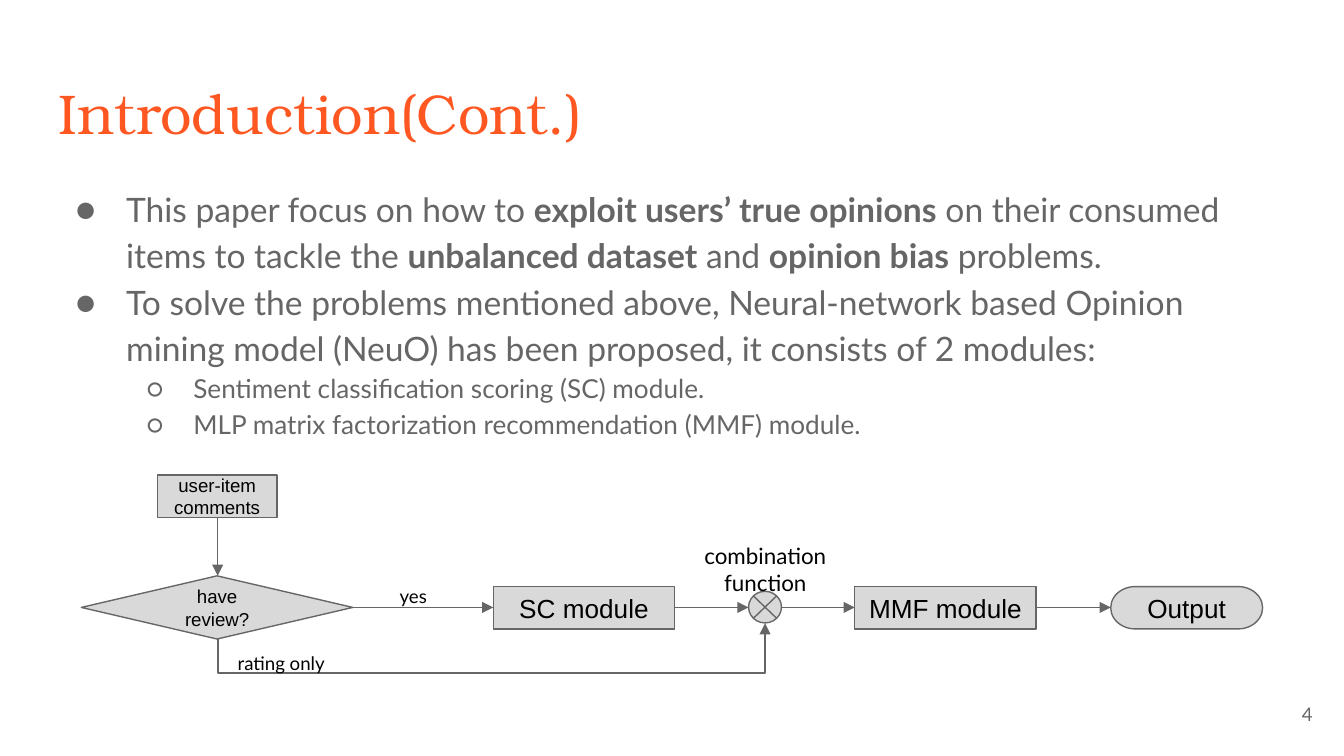
from lxml.etree import SubElement
from pptx import Presentation
from pptx.dml.color import RGBColor
from pptx.enum.shapes import MSO_CONNECTOR, MSO_SHAPE
from pptx.enum.text import MSO_ANCHOR, PP_ALIGN
from pptx.oxml.ns import qn
from pptx.util import Pt

EMU_PER_PX = 4572
INSET = 20
FLOW_Y = 904
COLORS = {
    "title": "FF5722",
    "body": "666666",
    "line": "666666",
    "node": "D9D9D9",
    "label": "000000",
}
BULLETS = [
    (0, [("This paper focus on how to ", False),
         ("exploit users’ true opinions", True),
         (" on their consumed items to tackle the ", False),
         ("unbalanced dataset", True),
         (" and ", False),
         ("opinion bias", True),
         (" problems.", False)]),
    (0, [("To solve the problems mentioned above, Neural-network based Opinion "
          "mining model (NeuO) has been proposed, it consists of 2 modules:", False)]),
    (1, [("Sentiment classification scoring (SC) module.", False)]),
    (1, [("MLP matrix factorization recommendation (MMF) module.", False)]),
]
BULLET_LEVELS = [
    {"char": "●", "left": 100, "hanging": 75, "size": 18},
    {"char": "○", "left": 200, "hanging": 70, "size": 14},
]


def px(value):
    return value * EMU_PER_PX


def box(left, top, width, height):
    return px(left), px(top), px(width), px(height)


def rgb(name):
    return RGBColor.from_string(COLORS[name])


def prepare_frame(shape, anchor=MSO_ANCHOR.TOP):
    frame = shape.text_frame
    frame.word_wrap = True
    frame.vertical_anchor = anchor
    frame.margin_left = frame.margin_right = px(INSET)
    frame.margin_top = frame.margin_bottom = px(INSET)
    return frame


def add_text(paragraph, text, *, size, font="Lato", color="label",
             bold=False, align=PP_ALIGN.LEFT):
    paragraph.alignment = align
    run = paragraph.add_run()
    run.text = text
    run.font.size = Pt(size)
    run.font.name = font
    run.font.bold = bold
    run.font.color.rgb = rgb(color)


def add_label(slide, bounds, text, anchor=MSO_ANCHOR.TOP, **style):
    shape = slide.shapes.add_textbox(*box(*bounds))
    add_text(prepare_frame(shape, anchor).paragraphs[0], text, **style)


def set_bullet(paragraph, level):
    style = BULLET_LEVELS[level]
    paragraph.level = level
    paragraph.line_spacing = 1.15
    properties = paragraph._p.get_or_add_pPr()
    properties.set("marL", str(px(style["left"])))
    properties.set("indent", str(-px(style["hanging"])))
    color = SubElement(properties, qn("a:buClr"))
    SubElement(color, qn("a:srgbClr"), val=COLORS["body"])
    SubElement(properties, qn("a:buFont"), typeface="Lato")
    SubElement(properties, qn("a:buChar"), char=style["char"])


def add_bullets(slide, bounds):
    frame = prepare_frame(slide.shapes.add_textbox(*box(*bounds)))
    for index, (level, runs) in enumerate(BULLETS):
        paragraph = frame.add_paragraph() if index else frame.paragraphs[0]
        set_bullet(paragraph, level)
        for text, bold in runs:
            add_text(paragraph, text, size=BULLET_LEVELS[level]["size"],
                     color="body", bold=bold)


def add_node(slide, kind, bounds, text="", size=14):
    shape = slide.shapes.add_shape(kind, *box(*bounds))
    shape.shadow.inherit = False
    shape.fill.solid()
    shape.fill.fore_color.rgb = rgb("node")
    shape.line.color.rgb = rgb("line")
    shape.line.width = Pt(0.75)
    if text:
        frame = prepare_frame(shape, MSO_ANCHOR.MIDDLE)
        add_text(frame.paragraphs[0], text, size=size, font="Arial",
                 align=PP_ALIGN.CENTER)


def add_arrow(slide, start, end, kind=MSO_CONNECTOR.STRAIGHT):
    connector = slide.shapes.add_connector(
        kind, *(px(value) for value in (*start, *end)))
    connector.line.color.rgb = rgb("line")
    connector.line.width = Pt(0.75)
    SubElement(connector.line._get_or_add_ln(), qn("a:tailEnd"), type="triangle")
    SubElement(connector._element.spPr, qn("a:effectLst"))
    return connector


def add_bypass_arrow(slide):
    connector = add_arrow(slide, (720, 532), (743, 1346), MSO_CONNECTOR.ELBOW)
    properties = connector._element.spPr
    properties.find(qn("a:xfrm")).set("rot", str(270 * 60000))
    adjustments = properties.find(qn("a:prstGeom")).find(qn("a:avLst"))
    SubElement(adjustments, qn("a:gd"), name="adj1", fmla="val -221700")


def add_flowchart(slide):
    add_node(slide, MSO_SHAPE.RECTANGLE, (234, 707, 178, 63),
             "user-item comments", size=10)
    add_node(slide, MSO_SHAPE.FLOWCHART_DECISION, (121, 857, 404, 94),
             "have review?", size=10)
    add_node(slide, MSO_SHAPE.RECTANGLE, (734, 873, 270, 63), "SC module")
    add_node(slide, MSO_SHAPE.FLOWCHART_SUMMING_JUNCTION, (1114, 880, 49, 47))
    add_node(slide, MSO_SHAPE.RECTANGLE, (1272, 873, 270, 63), "MMF module")
    add_node(slide, MSO_SHAPE.FLOWCHART_TERMINATOR, (1653, 873, 226, 63), "Output")

    add_arrow(slide, (324, 770), (324, 857))
    for start, end in [(525, 734), (1004, 1114), (1163, 1272), (1542, 1653)]:
        add_arrow(slide, (start, FLOW_Y), (end, FLOW_Y))
    add_bypass_arrow(slide)

    add_label(slide, (1026, 787, 226, 86), "combination function",
              size=12, align=PP_ALIGN.CENTER)
    add_label(slide, (575, 853, 104, 46), "yes", size=10)
    add_label(slide, (324, 954, 189, 46), "rating only",
              size=10, align=PP_ALIGN.CENTER)


def main():
    presentation = Presentation()
    presentation.slide_width = px(2000)
    presentation.slide_height = px(1125)
    slide = presentation.slides.add_slide(presentation.slide_layouts[6])
    add_label(slide, (68, 97, 1864, 126), "Introduction(Cont.)",
              size=30, font="TeX Gyre Bonum", color="title")
    add_bullets(slide, (68, 252, 1864, 426))
    add_label(slide, (1853, 1020, 120, 86), "4", anchor=MSO_ANCHOR.MIDDLE,
              size=10, color="body", align=PP_ALIGN.RIGHT)
    add_flowchart(slide)
    presentation.save("out.pptx")


if __name__ == "__main__":
    main()
